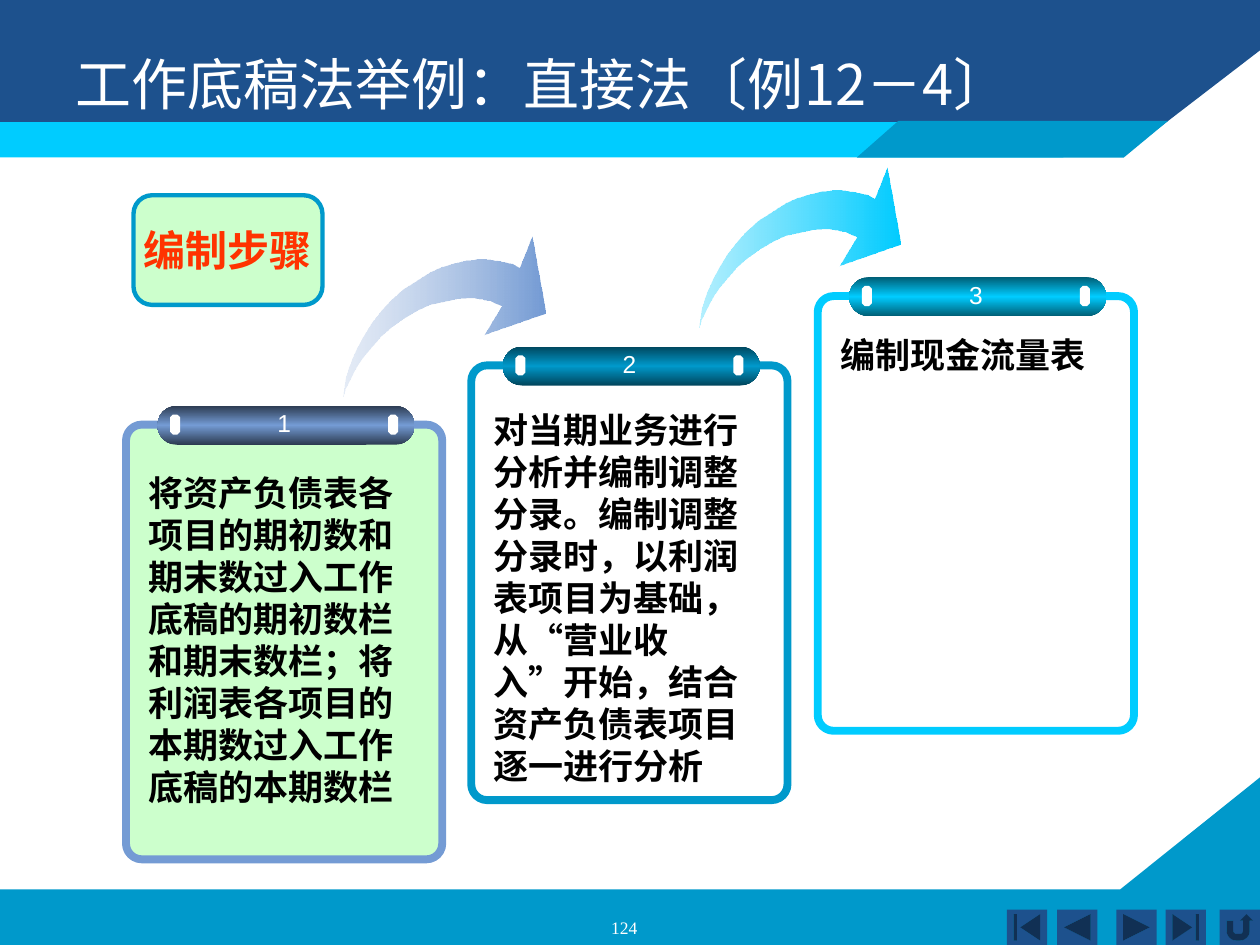
from lxml import etree
from pptx import Presentation
from pptx.dml.color import RGBColor
from pptx.enum.shapes import MSO_SHAPE
from pptx.enum.text import MSO_ANCHOR, PP_ALIGN
from pptx.oxml.ns import qn
from pptx.util import Inches, Pt

RECT, ROUND, OCT = MSO_SHAPE.RECTANGLE, MSO_SHAPE.ROUNDED_RECTANGLE, MSO_SHAPE.OCTAGON
BUTTONS = [
    (7.99, MSO_SHAPE.ACTION_BUTTON_BEGINNING),
    (8.39, MSO_SHAPE.ACTION_BUTTON_BACK_OR_PREVIOUS),
    (8.86, MSO_SHAPE.ACTION_BUTTON_FORWARD_OR_NEXT),
    (9.25, MSO_SHAPE.ACTION_BUTTON_END),
    (9.68, MSO_SHAPE.ACTION_BUTTON_RETURN),
]
LEFT, CENTER = PP_ALIGN.LEFT, PP_ALIGN.CENTER
MIDDLE = MSO_ANCHOR.MIDDLE
CJK = "Noto Sans CJK SC"

COLORS = {
    "navy": "1D518D", "blue": "0099CB", "cyan": "00CCFF", "steel": "749BD4",
    "mint": "CCFFCC", "red": "FF3300", "white": "FFFFFF", "black": "000000",
    "blue_dark": "00465D", "cyan_dark": "005E75", "steel_dark": "2C3B51",
    "cyan_pale": "16CFFE", "steel_pale": "AEC4E5",
}

# Card: left, top, colour, fill, body offset, number, body
CARDS = [
    (3.74, 2.9, "blue", None, 0.26, "2",
     "对当期业务进行分析并编制调整分录。编制调整分录时，以利润表项目为基础，"
     "从“营业收入”开始，结合资产负债表项目逐一进行分析"),
    (6.49, 2.35, "cyan", None, 0.22, "3", "编制现金流量表"),
    (1, 3.37, "steel", "mint", 0.29, "1",
     "将资产负债表各项目的期初数和期末数过入工作底稿的期初数栏和期末数栏；"
     "将利润表各项目的本期数过入工作底稿的本期数栏"),
]

# Curved arrow outline, relative to its left and top
ARROW = [
    (0, 1.27), (0.02, 1.2), (0.05, 1.14), (0.08, 1.08), (0.12, 1.01), (0.17, 0.94),
    (0.23, 0.87), (0.3, 0.79), (0.38, 0.72), (0.48, 0.65), (0.58, 0.59), (0.69, 0.54),
    (0.79, 0.52), (0.88, 0.5), (0.97, 0.49), (1.04, 0.49), (1.1, 0.5), (1.16, 0.51),
    (1.2, 0.53), (1.25, 0.55), (1.11, 0.78), (1.6, 0.61), (1.49, 0), (1.39, 0.25),
    (1.34, 0.22), (1.3, 0.21), (1.25, 0.2), (1.19, 0.19), (1.13, 0.18), (1.05, 0.18),
    (0.97, 0.19), (0.88, 0.21), (0.78, 0.24), (0.69, 0.28), (0.58, 0.35), (0.47, 0.42),
    (0.37, 0.51), (0.29, 0.6), (0.22, 0.69), (0.16, 0.79), (0.11, 0.88), (0.07, 0.97),
    (0.04, 1.05), (0.02, 1.12), (0.01, 1.18),
]


def rgb(name):
    return RGBColor.from_string(COLORS[name])


def style(shape, fill=None, line=None, width=1):
    shape.shadow.inherit = False
    if fill:
        shape.fill.solid()
        shape.fill.fore_color.rgb = rgb(fill)
    else:
        shape.fill.background()
    if line:
        shape.line.color.rgb = rgb(line)
        shape.line.width = Pt(width)
    else:
        shape.line.fill.background()
    return shape


def fade(shape, stops, angle):
    """Gradient from (percent, colour, opacity percent) stops."""
    shape.fill.gradient()
    shape.fill.gradient_angle = angle
    items = shape.fill._xPr.find(".//" + qn("a:gsLst"))
    for old in list(items):
        items.remove(old)
    for pos, name, alpha in stops:
        stop = etree.SubElement(items, qn("a:gs"), pos=str(pos * 1000))
        color = etree.SubElement(stop, qn("a:srgbClr"), val=COLORS[name])
        if alpha < 100:
            etree.SubElement(color, qn("a:alpha"), val=str(alpha * 1000))


def block(slide, kind, x, y, w, h, adj=None, **look):
    shape = slide.shapes.add_shape(kind, Inches(x), Inches(y), Inches(w), Inches(h))
    if adj is not None:
        shape.adjustments[0] = adj
    return style(shape, **look)


def outline(slide, points, fill, x=0, y=0):
    dots = [(round((x + a) * 100), round((y + b) * 100)) for a, b in points]
    path = slide.shapes.build_freeform(*dots[0], scale=Inches(0.01))
    path.add_line_segments(dots[1:], close=True)
    return style(path.convert_to_shape(), fill)


def write(shape, words, size, color, font="Arial", bold=False, align=LEFT,
          wrap=True, leading=None):
    frame = shape.text_frame
    frame.word_wrap = wrap
    para = frame.paragraphs[0]
    para.alignment = align
    if leading:
        # A fixed line pitch sits high, so the top inset grows with the size
        para.line_spacing = Pt(leading)
        frame.margin_top = Inches(round(0.05 + size * 0.0015, 2))
    run = para.add_run()
    run.text = words
    run.font.size, run.font.bold, run.font.name = Pt(size), bold, font
    run.font.color.rgb = rgb(color)
    etree.SubElement(run.font._element, qn("a:ea"), typeface=CJK)


def label(slide, x, y, w, h, *words, **look):
    box = slide.shapes.add_textbox(Inches(x), Inches(y), Inches(w), Inches(h))
    write(box, *words, **look)


def frame_page(slide):
    # Footer, header bands and navigation buttons
    outline(slide, [(0, 7.06), (8.89, 7.06), (10, 6.17), (10, 7.5), (0, 7.5)], "blue")
    outline(slide, [(0, 0), (10, 0), (10, 0.4), (8.92, 1.23), (0, 1.24)], "navy")
    block(slide, RECT, 0, 0.97, 8.44, 0.28, fill="cyan")
    outline(slide, [(6.8, 1.25), (8.92, 1.25), (9.27, 0.96), (7.13, 0.96)], "blue")
    for x, kind in BUTTONS:
        block(slide, kind, x, 7.22, 0.32, 0.28, fill="navy")


def arrow(slide, x, y, color):
    shape = outline(slide, ARROW, color, x, y)
    fade(shape, [(0, color, 100), (100, color + "_pale", 32)], 180)


def card(slide, x, y, color, fill, drop, number, body):
    block(slide, ROUND, x, y, 2.51, 3.45, 0.05, fill=fill, line=color, width=4.5)
    bar = block(slide, ROUND, x + 0.25, y - 0.15, 2.04, 0.31, 0.5)
    dark = color + "_dark"
    fade(bar, [(0, dark, 100), (50, color, 100), (100, dark, 100)], 90)
    for dx in (0.35, 2.08):
        block(slide, OCT, x + dx, y - 0.08, 0.08, 0.16, 0.29, fill="white")
    label(slide, x + 1.1, y - 0.18, 0.31, 0.34, number, 14, "white",
          align=CENTER, wrap=False)
    label(slide, x + 0.08, y + drop, 2.33, 3.1 if len(body) > 10 else 0.44,
          body, 20, "black", bold=True, leading=24)


def main():
    prs = Presentation()
    prs.slide_width, prs.slide_height = Inches(10), Inches(7.5)
    slide = prs.slides.add_slide(prs.slide_layouts[6])
    frame_page(slide)

    # Steps and the arrows between them
    arrow(slide, 5.55, 1.33, "cyan")
    arrow(slide, 2.73, 1.88, "steel")
    for entry in CARDS:
        card(slide, *entry)

    # Title, tag and page number
    label(slide, 0.5, 0.3, 9, 1.25, "工作底稿法举例：直接法〔例12－4〕", 32, "white",
          font=CJK, leading=38)
    tag = block(slide, ROUND, 1.06, 1.55, 1.5, 0.87, 0.17,
                fill="mint", line="blue", width=2.5)
    tag.text_frame.vertical_anchor = MIDDLE
    write(tag, "编制步骤", 24, "red", bold=True, align=CENTER, wrap=False)
    label(slide, 3.79, 7.23, 2.33, 0.18, "124", 10, "white",
          font="Times New Roman", align=CENTER)

    prs.save("out.pptx")


if __name__ == "__main__":
    main()
